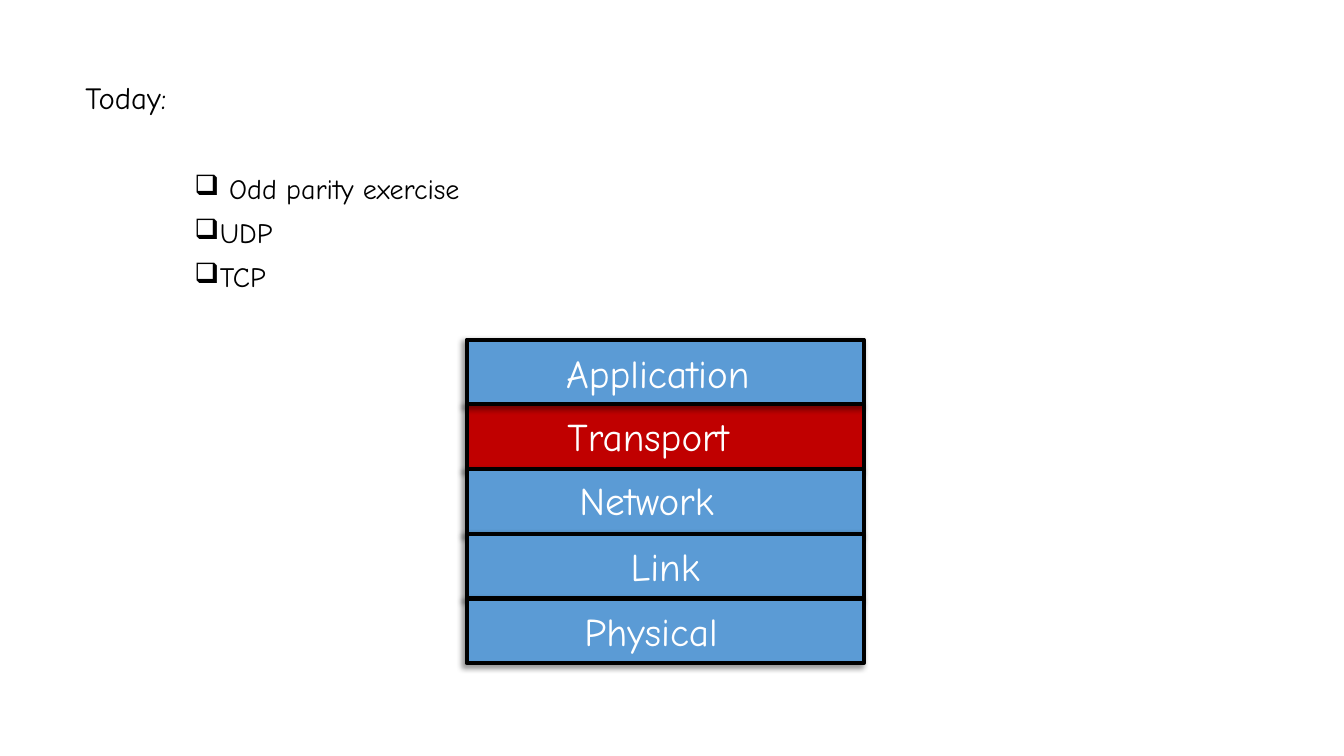
from dataclasses import dataclass

from lxml import etree
from pptx import Presentation, util as u
from pptx.dml.color import RGBColor
from pptx.enum import shapes, text
from pptx.oxml import ns

FONT = "Comic Neue"
BLACK = RGBColor(0x00, 0x00, 0x00)
WHITE = RGBColor(0xFF, 0xFF, 0xFF)
BLUE = RGBColor(0x5B, 0x9B, 0xD5)
RED = RGBColor(0xC0, 0x00, 0x00)

STACK_LEFT, STACK_TOP = 11.76, 8.56
LAYER_WIDTH, LAYER_HEIGHT = 10.01, 1.63
LABEL_WIDTH, LABEL_HEIGHT = 6.15, 1.45


@dataclass(frozen=True)
class Layer:
    name: str
    label_left: float
    label_top: float
    fill: RGBColor = BLUE
    align: text.PP_ALIGN = text.PP_ALIGN.LEFT


LAYERS = [
    Layer("Application", 14.02, 8.69),
    Layer("Transport", 14.05, 10.26, fill=RED),
    Layer("Network", 14.35, 11.89),
    Layer("Link", 13.69, 13.54, align=text.PP_ALIGN.CENTER),
    Layer("Physical", 14.48, 15.19),
]
TOPICS = [" Odd parity exercise", "UDP", "TCP"]


def add_run(paragraph, words: str, size: float, color: RGBColor) -> None:
    run = paragraph.add_run()
    run.text = words
    run.font.name = FONT
    run.font.size = u.Pt(size)
    run.font.color.rgb = color


def add_bullet(paragraph) -> None:
    properties = paragraph._p.get_or_add_pPr()
    properties.set("marL", str(u.Cm(0.64)))
    properties.set("indent", str(u.Cm(-0.64)))
    etree.SubElement(properties, ns.qn("a:buChar"), char="❑")


def add_shadow(shape) -> None:
    shape.shadow.inherit = False
    effects = shape._element.spPr.find(ns.qn("a:effectLst"))
    shadow = etree.SubElement(
        effects, ns.qn("a:outerShdw"), blurRad=str(u.Pt(4)),
        dist=str(u.Pt(3)), dir=str(135 * 60000), rotWithShape="0")
    color = etree.SubElement(shadow, ns.qn("a:srgbClr"), val=str(BLACK))
    etree.SubElement(color, ns.qn("a:alpha"), val="40000")


def add_heading(slide) -> None:
    heading = slide.shapes.title
    heading.left, heading.top = u.Cm(1.9), u.Cm(1.96)
    heading.width, heading.height = u.Cm(29.21), u.Cm(1.3)
    frame = heading.text_frame
    frame.vertical_anchor = text.MSO_ANCHOR.TOP
    frame.auto_size = text.MSO_AUTO_SIZE.NONE
    paragraph = frame.paragraphs[0]
    paragraph.alignment = text.PP_ALIGN.LEFT
    paragraph.line_spacing = 0.9
    paragraph.space_before = u.Pt(0)
    add_run(paragraph, "Today:", 22, BLACK)


def add_topics(slide) -> None:
    frame = slide.shapes.add_textbox(
        u.Cm(4.65), u.Cm(4.29), u.Cm(28.24), u.Cm(4.17)).text_frame
    frame.word_wrap = True
    for index, topic in enumerate(TOPICS):
        paragraph = frame.add_paragraph() if index else frame.paragraphs[0]
        add_bullet(paragraph)
        paragraph.line_spacing = 0.9
        paragraph.space_before = u.Pt(10 if index else 0)
        add_run(paragraph, topic, 20, BLACK)


def add_layer_box(slide, position: int, layer: Layer) -> None:
    box = slide.shapes.add_shape(
        shapes.MSO_SHAPE.RECTANGLE, u.Cm(STACK_LEFT),
        u.Cm(STACK_TOP + position * LAYER_HEIGHT),
        u.Cm(LAYER_WIDTH), u.Cm(LAYER_HEIGHT))
    box.fill.solid()
    box.fill.fore_color.rgb = layer.fill
    box.line.color.rgb = BLACK
    box.line.width = u.Pt(3)
    add_shadow(box)


def add_layer_label(slide, layer: Layer) -> None:
    frame = slide.shapes.add_textbox(
        u.Cm(layer.label_left), u.Cm(layer.label_top),
        u.Cm(LABEL_WIDTH), u.Cm(LABEL_HEIGHT)).text_frame
    frame.word_wrap = True
    frame.auto_size = text.MSO_AUTO_SIZE.SHAPE_TO_FIT_TEXT
    paragraph = frame.paragraphs[0]
    paragraph.alignment = layer.align
    add_run(paragraph, layer.name, 28, WHITE)


def main() -> None:
    deck = Presentation()
    deck.slide_width, deck.slide_height = u.Cm(33.87), u.Cm(19.05)
    slide = deck.slides.add_slide(deck.slide_layouts[5])
    add_heading(slide)
    add_topics(slide)
    highlighted_first = sorted(
        enumerate(LAYERS), key=lambda entry: entry[1].fill != RED)
    for position, layer in highlighted_first:
        add_layer_box(slide, position, layer)
    for layer in LAYERS:
        add_layer_label(slide, layer)
    deck.save("out.pptx")


if __name__ == "__main__":
    main()
